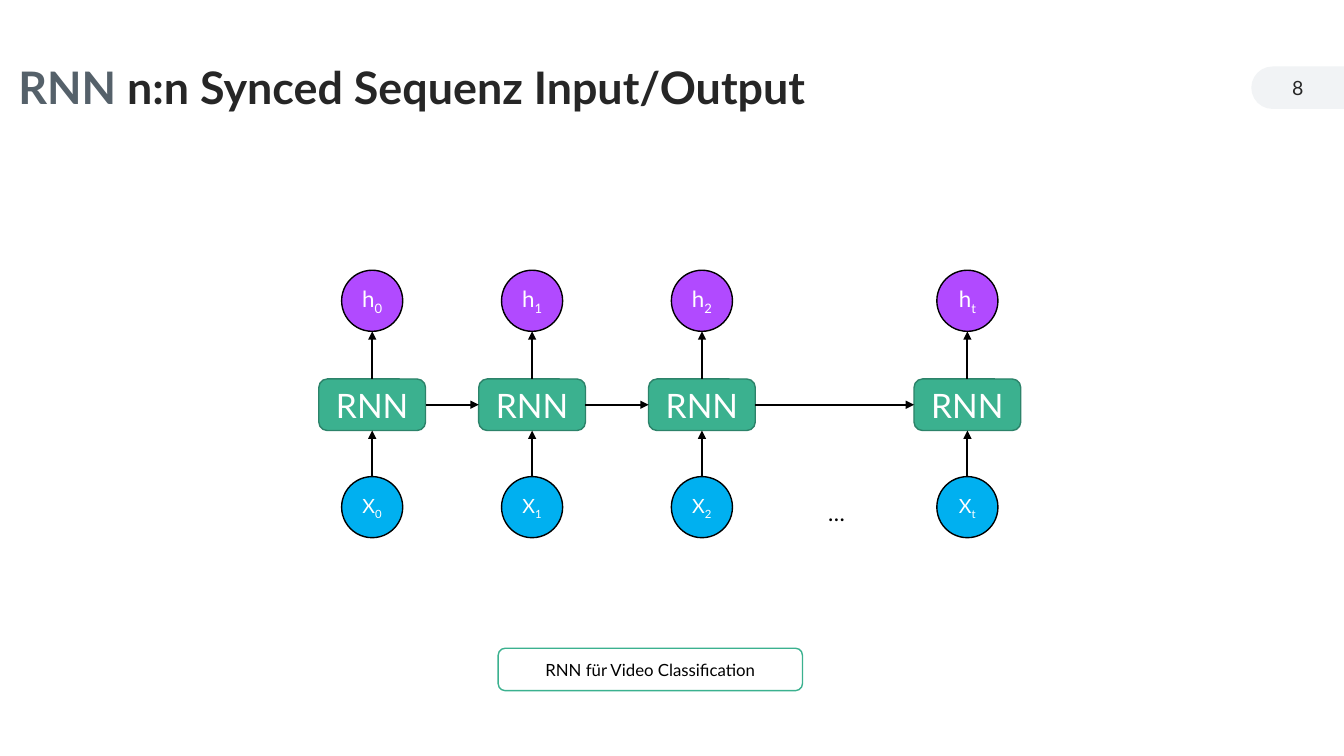
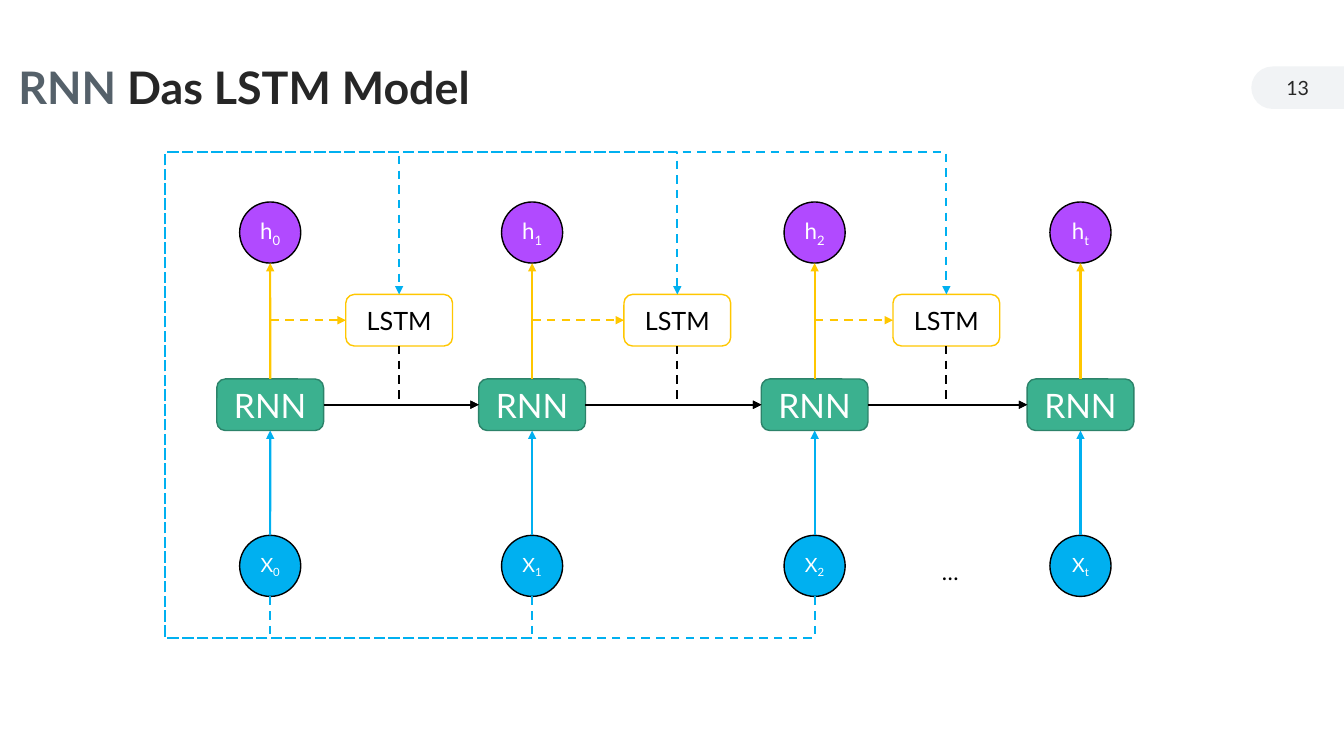
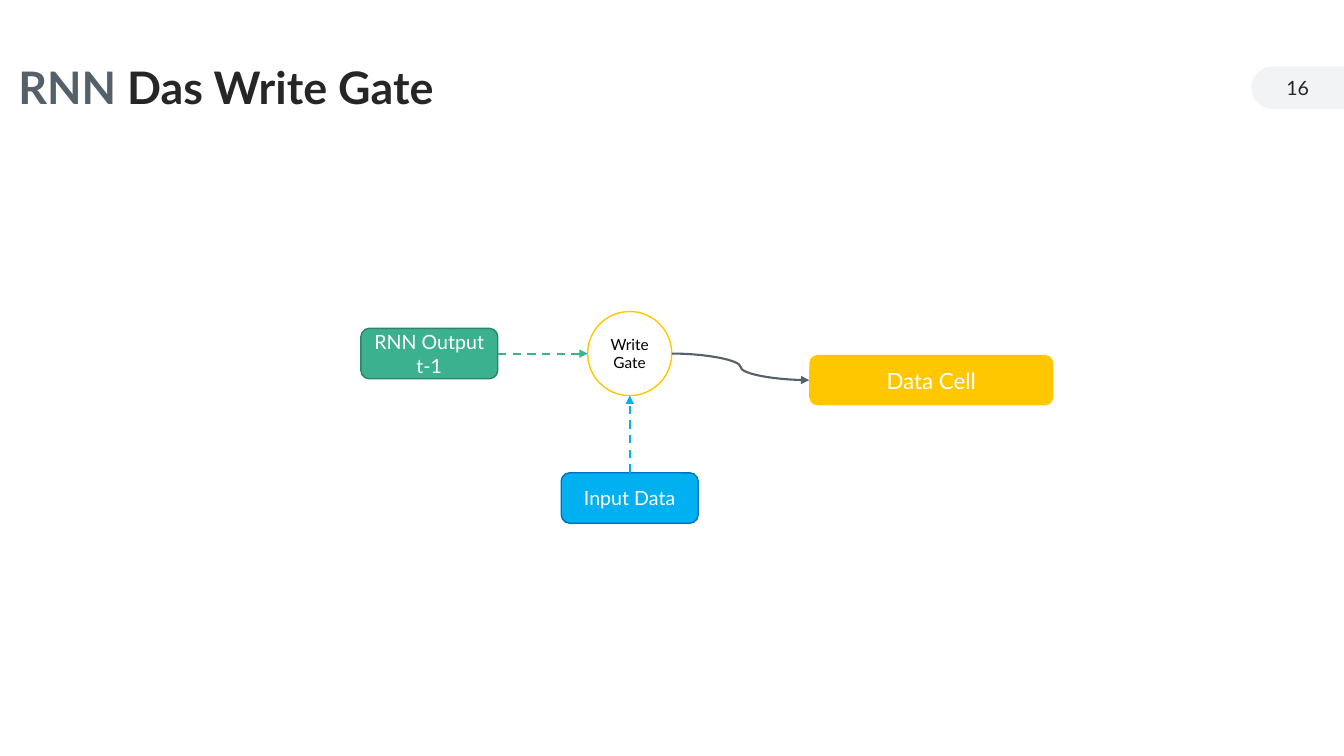
from lxml import etree
from pptx import Presentation
from pptx.dml.color import RGBColor
from pptx.enum.dml import MSO_LINE
from pptx.enum.shapes import MSO_CONNECTOR, MSO_SHAPE
from pptx.enum.text import MSO_ANCHOR, PP_ALIGN
from pptx.oxml.ns import qn
from pptx.util import Cm, Pt

ROUND, OVAL = MSO_SHAPE.ROUNDED_RECTANGLE, MSO_SHAPE.OVAL
HALF_PILL = MSO_SHAPE.ROUND_2_SAME_RECTANGLE
STRAIGHT, CURVE = MSO_CONNECTOR.STRAIGHT, MSO_CONNECTOR.CURVE
CENTER, LEFT = PP_ALIGN.CENTER, PP_ALIGN.LEFT
MIDDLE = MSO_ANCHOR.MIDDLE
DASH = MSO_LINE.DASH
TOP_SIDE, LEFT_SIDE, BOTTOM_SIDE, RIGHT_SIDE = range(4)

FONT = "Lato"
WHITE, BLACK, INK, SLATE, PALE = "FFFFFF", "000000", "262626", "55616A", "F1F3F5"
BLUE, DEEP_BLUE, PURPLE = "00B0F0", "0070C0", "B14AFF"
GREEN, DEEP_GREEN, YELLOW = "3BB18F", "2C836A", "FFC700"

# All lengths are centimetres.
STEPS = ["0", "1", "2", "t"]
CELL_SIZE, CELL_Y, NEURON_SIZE = (2.69, 1.3), 10.2, (1.54, 1.54)
SYNCED = {"title": "n:n Synced Sequenz Input/Output", "page": 8,
          "xs": [9.38, 13.41, 17.69, 24.38], "h_y": 7.58, "x_y": 12.78,
          "dots_x": 21.08, "in_color": BLACK, "out_color": BLACK}
CAPTION = "RNN für Video Classification"
LSTM = {"title": "Das LSTM Model", "page": 13,
        "xs": [6.81, 13.41, 20.53, 27.23], "h_y": 5.86, "x_y": 14.26,
        "dots_x": 23.95, "in_color": BLUE, "out_color": YELLOW}
LSTM_XS, LSTM_Y = [10.06, 17.07, 23.85], 8.07
LOOP_LEFT, LOOP_TOP, LOOP_BOTTOM = 4.17, 3.84, 16.07
GATE = {"title": "Das Write Gate", "page": 16}
GATE_NODES = {  # name: (shape, text, centre, size, fill, line, font size, font colour)
    "cell": (ROUND, "Data Cell", (23.47, 9.58), (6.15, 1.27), YELLOW, None, 16, WHITE),
    "gate": (OVAL, "Write Gate", (15.87, 8.91), (2.12, 2.12), WHITE, YELLOW, 11, BLACK),
    "output": (ROUND, "RNN Output t-1", (10.82, 8.91), (3.45, 1.27),
               GREEN, DEEP_GREEN, 14, WHITE),
    "input": (ROUND, "Input Data", (15.87, 12.55), (3.45, 1.27),
              BLUE, DEEP_BLUE, 14, WHITE),
}


def rgb(color):
    return RGBColor.from_string(color)


def write(sp, runs, size, align=CENTER, bold=False, spacing=None, flush=True):
    """Fill a shape with one paragraph of (text, colour) runs."""
    tf = sp.text_frame
    tf.word_wrap = True
    tf.vertical_anchor = MIDDLE
    if flush:
        tf.margin_left = tf.margin_right = 0
    p = tf.paragraphs[0]
    p.alignment = align
    if spacing:
        p.line_spacing = spacing
    for text, color in runs:
        r = p.add_run()
        r.text = text
        r.font.name, r.font.size, r.font.bold = FONT, Pt(size), bold
        r.font.color.rgb = rgb(color)
    return p


def text_box(slide, box, text, size, color, spacing=None):
    sp = slide.shapes.add_textbox(*map(Cm, box))
    write(sp, [(text, color)], size, spacing=spacing)


def node(slide, kind, center, dims, fill, line, runs, size, flush=False):
    (x, y), (w, h) = center, dims
    sp = slide.shapes.add_shape(kind, Cm(x - w / 2), Cm(y - h / 2), Cm(w), Cm(h))
    sp.shadow.inherit = False
    sp.fill.solid()
    sp.fill.fore_color.rgb = rgb(fill)
    if line:
        sp.line.color.rgb = rgb(line)
        sp.line.width = Pt(1)
    else:
        sp.line.fill.background()
    if runs:
        write(sp, runs, size, flush=flush)
    return sp


def neuron(slide, x, y, letter, step, fill, size):
    sp = node(slide, OVAL, (x, y), NEURON_SIZE, fill, BLACK,
              [(letter, WHITE), (step, WHITE)], size, flush=True)
    index = sp.text_frame.paragraphs[0].runs[1]
    index._r.get_or_add_rPr().set("baseline", "-25000")
    return sp


def style_arrow(sp, color, dashed):
    sp.line.color.rgb = rgb(color)
    sp.line.width = Pt(1.5)
    if dashed:
        sp.line.dash_style = DASH
    props = sp.element.spPr
    etree.SubElement(props.find(qn("a:ln")), qn("a:tailEnd"), type="triangle")
    if props.find(qn("a:effectLst")) is None:
        etree.SubElement(props, qn("a:effectLst"))


def side_point(sp, side):
    mid_x, mid_y = sp.left + sp.width // 2, sp.top + sp.height // 2
    return [(mid_x, sp.top), (sp.left, mid_y),
            (mid_x, sp.top + sp.height), (sp.left + sp.width, mid_y)][side]


def link(slide, a, a_side, b, b_side, color, dashed=False, kind=STRAIGHT):
    """Draw an arrow between two sides, joined wherever it meets a box."""
    c = slide.shapes.add_connector(kind, *side_point(a, a_side), *side_point(b, b_side))
    if a.auto_shape_type == ROUND:
        c.begin_connect(a, a_side)
    if b.auto_shape_type == ROUND:
        c.end_connect(b, b_side)
    style_arrow(c, color, dashed)


def route(slide, points, color):
    """Draw a dashed arrow with right-angled turns."""
    builder = slide.shapes.build_freeform(*points[0])
    builder.add_line_segments(points[1:], close=False)
    sp = builder.convert_to_shape()
    sp.shadow.inherit = False
    sp.fill.background()
    style_arrow(sp, color, True)


def new_slide(prs, layout, content):
    slide = prs.slides.add_slide(layout)
    title = slide.shapes.title
    title.left, title.top, title.width, title.height = map(Cm, (0.46, 1.14, 21.97, 2.24))
    write(title, [("RNN ", SLATE), (content["title"], INK)], 32, LEFT, True, 0.9)
    text_box(slide, (31.54, 1.7, 2.33, 1.02), str(content["page"]), 14, INK)
    return slide


def add_page_band(slide, layout):
    """Build the page number band and move it to the layout."""
    band = node(slide, HALF_PILL, (32.7, 2.21), (1.07, 2.33), PALE, None, [], 14)
    band.adjustments[0] = 0.5
    band.rotation = 270
    layout.shapes.element.append(band.element)


def draw_network(slide, net):
    """Draw the unrolled network and return its cells."""
    cells = []
    for x, step in zip(net["xs"], STEPS):
        source = neuron(slide, x, net["x_y"], "X", step, BLUE, 14)
        hidden = neuron(slide, x, net["h_y"], "h", step, PURPLE, 16)
        cell = node(slide, ROUND, (x, CELL_Y), CELL_SIZE, GREEN, DEEP_GREEN,
                    [("RNN", WHITE)], 24)
        link(slide, source, TOP_SIDE, cell, BOTTOM_SIDE, net["in_color"])
        link(slide, cell, TOP_SIDE, hidden, BOTTOM_SIDE, net["out_color"])
        cells.append(cell)
    for a, b in zip(cells, cells[1:]):
        link(slide, a, RIGHT_SIDE, b, LEFT_SIDE, BLACK)
    text_box(slide, (net["dots_x"] - 0.74, net["x_y"] - 0.46, 1.48, 1.02),
             "…", 16, BLACK, 1.25)
    return cells


def draw_memory(slide, cells):
    """Add the LSTM boxes with their dashed feeds."""
    left, top, bottom = Cm(LOOP_LEFT), Cm(LOOP_TOP), Cm(LOOP_BOTTOM)
    source_bottom = Cm(LSTM["x_y"] + NEURON_SIZE[1] / 2)
    for x, cell, following in zip(LSTM_XS, cells, cells[1:]):
        box = node(slide, ROUND, (x, LSTM_Y), CELL_SIZE, WHITE, YELLOW,
                   [("LSTM", BLACK)], 18)
        cell_top = side_point(cell, TOP_SIDE)
        box_top, box_left, box_bottom, _ = (side_point(box, i) for i in range(4))
        entry = side_point(following, LEFT_SIDE)
        route(slide, [cell_top, (cell_top[0], box_left[1]), box_left], YELLOW)
        route(slide, [box_bottom, (box_bottom[0], entry[1]), entry], BLACK)
        route(slide, [(cell_top[0], source_bottom), (cell_top[0], bottom),
                      (left, bottom), (left, top), (box_top[0], top), box_top], BLUE)


def draw_gate(slide):
    nodes = {}
    for name, (kind, text, center, dims, fill, line, size, color) in GATE_NODES.items():
        nodes[name] = node(slide, kind, center, dims, fill, line, [(text, color)], size)
    gate = nodes["gate"]
    link(slide, gate, RIGHT_SIDE, nodes["cell"], LEFT_SIDE, SLATE, kind=CURVE)
    link(slide, nodes["output"], RIGHT_SIDE, gate, LEFT_SIDE, GREEN, dashed=True)
    link(slide, nodes["input"], TOP_SIDE, gate, BOTTOM_SIDE, BLUE, dashed=True)


def main():
    prs = Presentation()
    prs.slide_width, prs.slide_height = Cm(33.87), Cm(19.05)
    layout = prs.slide_layouts[5]

    synced = new_slide(prs, layout, SYNCED)
    add_page_band(synced, layout)
    draw_network(synced, SYNCED)
    node(synced, ROUND, (16.39, 16.87), (7.67, 1.07), WHITE, GREEN,
         [(CAPTION, BLACK)], 12)

    lstm = new_slide(prs, layout, LSTM)
    draw_memory(lstm, draw_network(lstm, LSTM))

    draw_gate(new_slide(prs, layout, GATE))
    prs.save("out.pptx")


if __name__ == "__main__":
    main()
